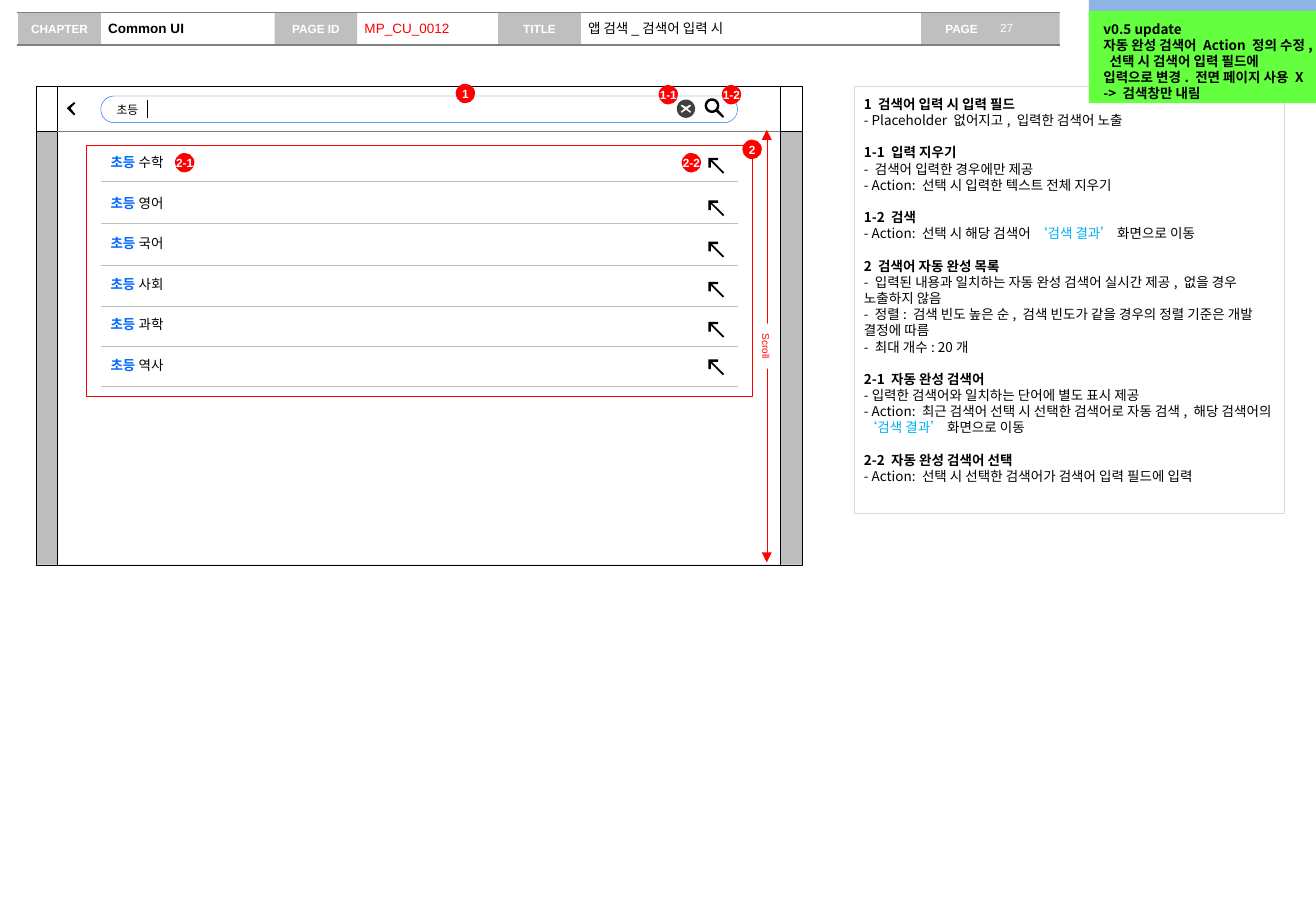
from math import cos, radians, sin

from lxml import etree
from pptx import Presentation
from pptx import util as u
from pptx.dml.color import RGBColor
from pptx.enum import shapes, text
from pptx.oxml.ns import qn

KOREAN = "Noto Sans CJK KR"
RED, BLUE, SKY, BLACK, WHITE, GRAY = "FF0000", "0066FF", "00B0F0", "000000", "FFFFFF", "BFBFBF"
LEFT, CENTER = text.PP_ALIGN.LEFT, text.PP_ALIGN.CENTER
TOP, MIDDLE = text.MSO_ANCHOR.TOP, text.MSO_ANCHOR.MIDDLE
RECT, OVAL, ROUND = (shapes.MSO_SHAPE.RECTANGLE, shapes.MSO_SHAPE.OVAL,
                     shapes.MSO_SHAPE.ROUNDED_RECTANGLE)
LINK = "‘검색 결과’"
NOTES = [
    ("1 검색어 입력 시 입력 필드", ["- Placeholder 없어지고, 입력한 검색어 노출"]),
    ("1-1 입력 지우기", ["- 검색어 입력한 경우에만 제공", "- Action: 선택 시 입력한 텍스트 전체 지우기"]),
    ("1-2 검색", [f"- Action: 선택 시 해당 검색어 {LINK} 화면으로 이동"]),
    ("2 검색어 자동 완성 목록", [
        "- 입력된 내용과 일치하는 자동 완성 검색어 실시간 제공, 없을 경우 노출하지 않음",
        "- 정렬: 검색 빈도 높은 순, 검색 빈도가 같을 경우의 정렬 기준은 개발 결정에 따름",
        "- 최대 개수: 20개"]),
    ("2-1 자동 완성 검색어", [
        "-입력한 검색어와 일치하는 단어에 별도 표시 제공",
        f"- Action: 최근 검색어 선택 시 선택한 검색어로 자동 검색, 해당 검색어의 {LINK} 화면으로 이동"]),
    ("2-2 자동 완성 검색어 선택", ["- Action: 선택 시 선택한 검색어가 검색어 입력 필드에 입력"]),
]


def rgb(code):
    """Turn a hex string into a colour."""
    return RGBColor.from_string(code)


def add_box(page, x, y, w, h, fill=None, line=None, kind=RECT, weight=0.25):
    """Add a preset shape with plain fill and outline."""
    box = page.shapes.add_shape(kind, *map(u.Inches, (x, y, w, h)))
    box.shadow.inherit = False
    if fill:
        box.fill.solid()
        box.fill.fore_color.rgb = rgb(fill)
    else:
        box.fill.background()
    if line:
        box.line.color.rgb = rgb(line)
        box.line.width = u.Pt(weight)
    else:
        box.line.fill.background()
    return box


def set_frame(box, insets=(0, 0, 0, 0), anchor=MIDDLE, wrap=True):
    """Set insets (left, top, right, bottom), anchor and wrapping."""
    frame = box.text_frame
    frame.margin_left, frame.margin_top, frame.margin_right, frame.margin_bottom = map(u.Inches, insets)
    frame.vertical_anchor = anchor
    frame.word_wrap = wrap
    return frame


def write(frame, spans, size=8, color=BLACK, bold=False, name="Arial", align=LEFT, before=0):
    """Write one paragraph from (words, colour, bold) spans or a string."""
    para = frame.paragraphs[0]
    if para.runs:
        para = frame.add_paragraph()
    para.alignment = align
    para.space_before = u.Pt(before)
    font = para.font
    font.size, font.bold, font.name = u.Pt(size), bold, name
    font.color.rgb = rgb(color)
    etree.SubElement(font._element, qn("a:ea"), typeface=KOREAN)
    for words, span_color, span_bold in [(spans, color, bold)] if isinstance(spans, str) else spans:
        span = para.add_run()
        span.text = words
        if span_color != color:
            span.font.color.rgb = rgb(span_color)
        if span_bold != bold:
            span.font.bold = span_bold


def add_line(page, x1, y1, x2, y2, color, weight=0.25, arrows=False):
    """Add a straight line, with arrowheads at both ends if asked."""
    line = page.shapes.add_connector(shapes.MSO_CONNECTOR.STRAIGHT, *map(u.Inches, (x1, y1, x2, y2)))
    line.line.color.rgb = rgb(color)
    line.line.width = u.Pt(weight)
    if arrows:
        for end in ("a:headEnd", "a:tailEnd"):
            etree.SubElement(line.line._get_or_add_ln(), qn(end), type="triangle")
    etree.SubElement(line._element.spPr, qn("a:effectLst"))


def add_outline(page, x, y, contours, fill=BLACK):
    """Add a filled outline whose contours are measured from x, y."""
    placed = [[(u.Inches(x + dx), u.Inches(y + dy)) for dx, dy in points] for points in contours]
    builder = page.shapes.build_freeform(*placed[0][0])
    builder.add_line_segments(placed[0][1:])
    for points in placed[1:]:
        builder.move_to(*points[0])
        builder.add_line_segments(points[1:])
    icon = builder.convert_to_shape()
    icon.shadow.inherit = False
    icon.fill.solid()
    icon.fill.fore_color.rgb = rgb(fill)
    icon.line.fill.background()


def arc(center, radius, start=0, sweep=360, steps=40):
    """List points along a circular arc."""
    angles = [radians(start + sweep * i / steps) for i in range(steps + 1)]
    return [(center + radius * cos(a), center + radius * sin(a)) for a in angles]


def add_badge(page, x, y, label):
    """Add a numbered red marker."""
    badge = add_box(page, x, y, 0.16, 0.16, RED, kind=OVAL)
    write(set_frame(badge, wrap=False), label, 7, WHITE, True, align=CENTER)


def add_header(page, x, y, w, h):
    """Draw the header band with its labels and values."""
    number = add_box(page, x + 7.44, y, 1.14, h, GRAY)
    write(set_frame(number, (0.2, 0.05, 0.1, 0.05), wrap=False), "PAGE", 7, WHITE, True)
    fields = [(0.01, "CHAPTER", 1.43, "Common UI", BLACK, True),
              (2.12, "PAGE ID", 1.16, "MP_CU_0012", RED, False),
              (3.96, "TITLE", 2.8, "앱 검색_검색어 입력 시", BLACK, False)]
    values = [(x + 8.03, 0.55, "27", 7, WHITE, False)]
    for dx, label, width, value, color, bold in fields:
        cell = add_box(page, x + dx, y, 0.68, h, GRAY)
        write(set_frame(cell, wrap=False), label, 7, WHITE, True, align=CENTER)
        values.append((x + dx + 0.68, width, value, 8, color, bold))
    for left, width, value, size, color, bold in values:
        box = page.shapes.add_textbox(*map(u.Inches, (left, y + 0.01, width, 0.24)))
        write(set_frame(box, (0.06, 0.05, 0, 0.05)), value, size, color, bold)
    for edge in (y, y + h):
        add_line(page, x, edge, x + w, edge, "7F7F7F", 0.75)


def add_search_bar(page, x, y, w, h):
    """Draw the search field with its back, clear and search icons."""
    add_outline(page, x - 0.28, y + 0.05, [[(0.07, 0.01), (0.06, 0), (0, 0.05), (0.06, 0.11),
                                            (0.07, 0.1), (0.03, 0.05), (0.07, 0.01)]])
    cross = [(0.12, 0.1), (0.11, 0.11), (0.075, 0.085), (0.04, 0.11), (0.03, 0.1), (0.06, 0.075),
             (0.03, 0.05), (0.04, 0.04), (0.075, 0.06), (0.11, 0.04), (0.12, 0.05), (0.09, 0.075)]
    add_outline(page, x + 4.74, y + 0.03, [arc(0.075, 0.075), cross], "404040")
    field = add_box(page, x, y, w, h, line=BLUE, kind=ROUND)
    field.adjustments[0] = 0.5
    write(set_frame(field, (0.1, 0.05, 0.1, 0.05)), "초등", 7, name=KOREAN)
    add_line(page, x + 0.38, y + 0.03, x + 0.38, y + 0.18, BLACK, 0.5)
    lens = arc(0.06, 0.06, 57, 336) + [(0.16, 0.15), (0.15, 0.16)]
    add_outline(page, x + 4.97, y + 0.02, [lens, arc(0.06, 0.04)])


def add_suggestions(page, x, y, w, h):
    """Draw the framed list of completed search words."""
    box = page.shapes.add_textbox(*map(u.Inches, (x + 0.2, y + 0.07, 1.22, 1.82)))
    frame = set_frame(box, anchor=TOP)
    for i, subject in enumerate(["수학", "영어", "국어", "사회", "과학", "역사"]):
        write(frame, [("초등", BLUE, True), (f" {subject}", BLACK, False)], before=14.4 if i else 0)
    arrow = [(0.08, 0), (0.08, 0.02), (0.03, 0.02), (0.13, 0.12), (0.12, 0.13),
             (0.02, 0.03), (0.02, 0.08), (0, 0.08), (0, 0)]
    for arrow_top, rule in [(0.1, 0.29), (0.45, 0.64), (0.79, 0.98),
                            (1.12, 1.32), (1.45, 1.65), (1.76, 1.98)]:
        add_line(page, x + 0.12, y + rule, x + 5.36, y + rule, GRAY)
        add_outline(page, x + 5.12, y + arrow_top, [arrow])
    add_box(page, x, y, w, h, line=RED)


def add_screen(page, x, y, w, h):
    """Draw the app screen with search bar, list, markers and scroll arrow."""
    add_box(page, x, y + 0.37, w, h - 0.37, "BDBDBD", BLACK)
    add_box(page, x, y, w, 0.37, WHITE, BLACK)
    add_box(page, x + 0.17, y, w - 0.35, h, WHITE, BLACK)
    add_line(page, x + 0.17, y + 0.37, x + w - 0.18, y + 0.37, "808080")
    add_search_bar(page, x + 0.53, y + 0.08, 5.24, 0.22)
    add_suggestions(page, x + 0.41, y + 0.49, 5.48, 2.06)
    for dx, dy, label in [(3.45, -0.02, "1"), (5.12, -0.01, "1-1"), (5.64, -0.01, "1-2"),
                          (5.81, 0.44, "2"), (1.14, 0.55, "2-1"), (5.31, 0.55, "2-2")]:
        add_badge(page, x + dx, y + dy, label)
    add_line(page, x + 6.01, y + 0.36, x + 6.01, y + 3.92, RED, arrows=True)
    scroll = add_box(page, x + 5.82, y + 2.09, 0.37, 0.1, WHITE)
    scroll.rotation = 90
    write(set_frame(scroll, wrap=False), "Scroll", 6, RED, align=CENTER)


def add_notes(page, x, y, w, h):
    """Write the description panel."""
    panel = add_box(page, x, y, w, h, line="D9D9D9", weight=0.75)
    frame = set_frame(panel, (0.08,) * 4, TOP)
    for i, (heading, lines) in enumerate(NOTES):
        write(frame, heading, bold=True, name=KOREAN, before=9.6 if i else 0)
        for line in lines:
            start, link, rest = line.partition(LINK)
            spans = [(start, BLACK, False), (link, SKY, False), (rest, BLACK, False)]
            write(frame, [span for span in spans if span[0]], name=KOREAN)


def add_update(page, x, y, w, h):
    """Draw the green update memo over the blue one."""
    add_box(page, x, y, w, 0.62, "8EB4E3")
    memo = add_box(page, x, y + 0.09, w, h - 0.09, "64FF3F")
    frame = set_frame(memo, (0.12, 0.08, 0.1, 0.05), TOP)
    for line in ("v0.5 update", "자동 완성 검색어 Action 정의 수정, 선택 시 검색어 입력 필드에 "
                 "입력으로 변경. 전면 페이지 사용 X -> 검색창만 내림"):
        write(frame, line, bold=True, name=KOREAN)


def main():
    """Build the deck."""
    deck = Presentation()
    deck.slide_width, deck.slide_height = u.Inches(10.83), u.Inches(7.5)
    page = deck.slides.add_slide(deck.slide_layouts[6])
    add_header(page, 0.14, 0.1, 8.58, 0.27)
    add_screen(page, 0.3, 0.71, 6.3, 3.94)
    add_notes(page, 7.03, 0.71, 3.54, 3.52)
    add_update(page, 8.96, 0, 1.88, 0.85)
    deck.save("out.pptx")


if __name__ == "__main__":
    main()
